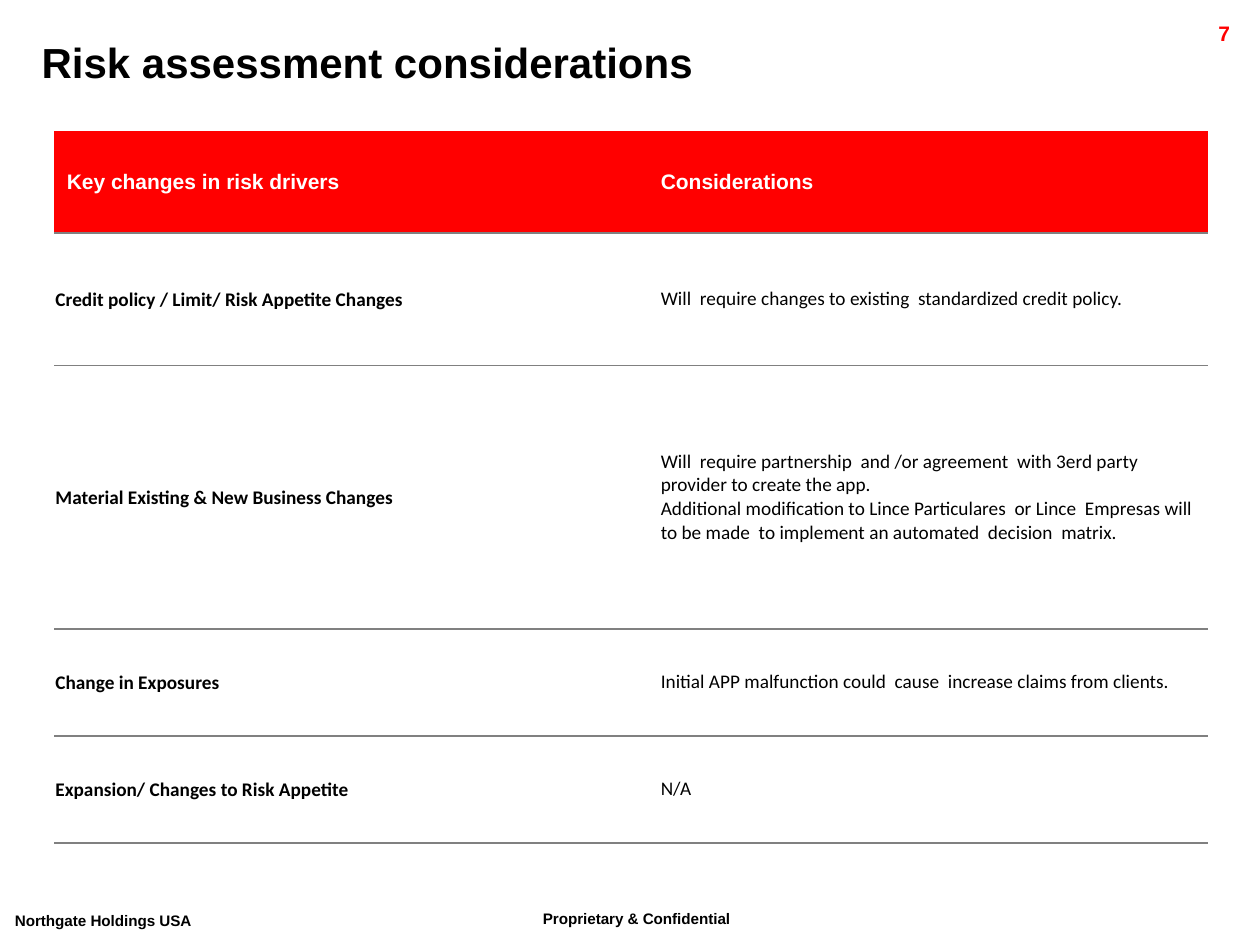
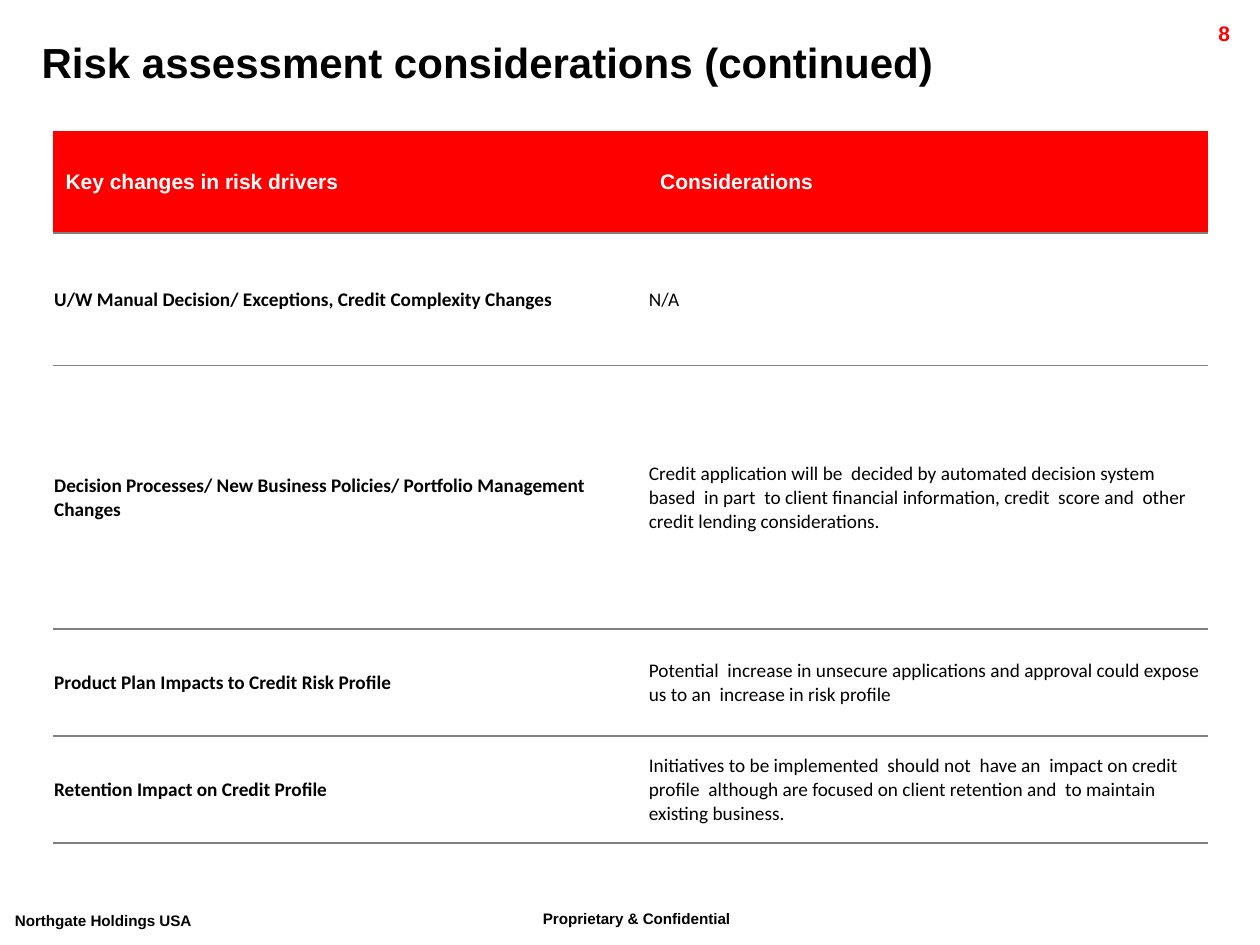
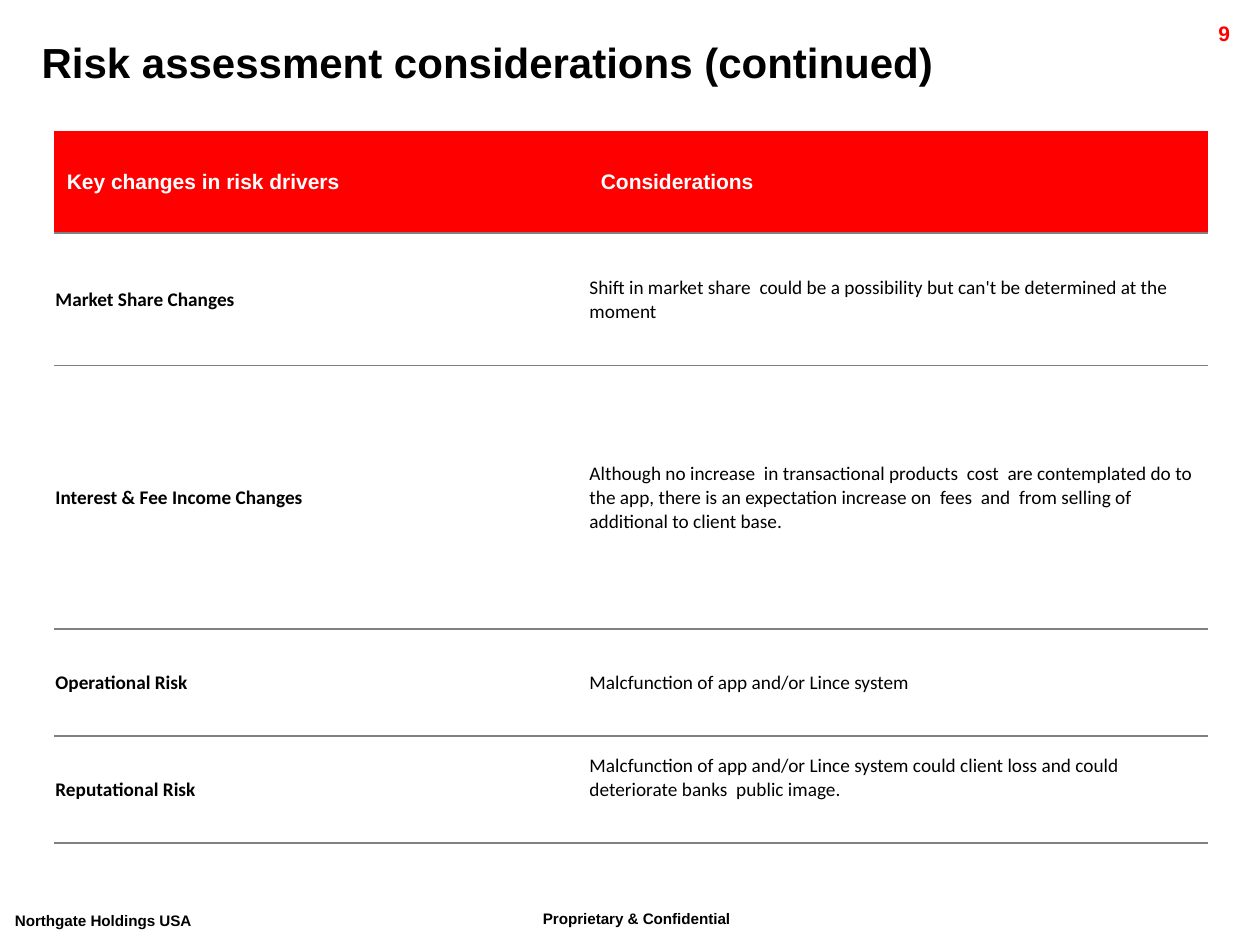
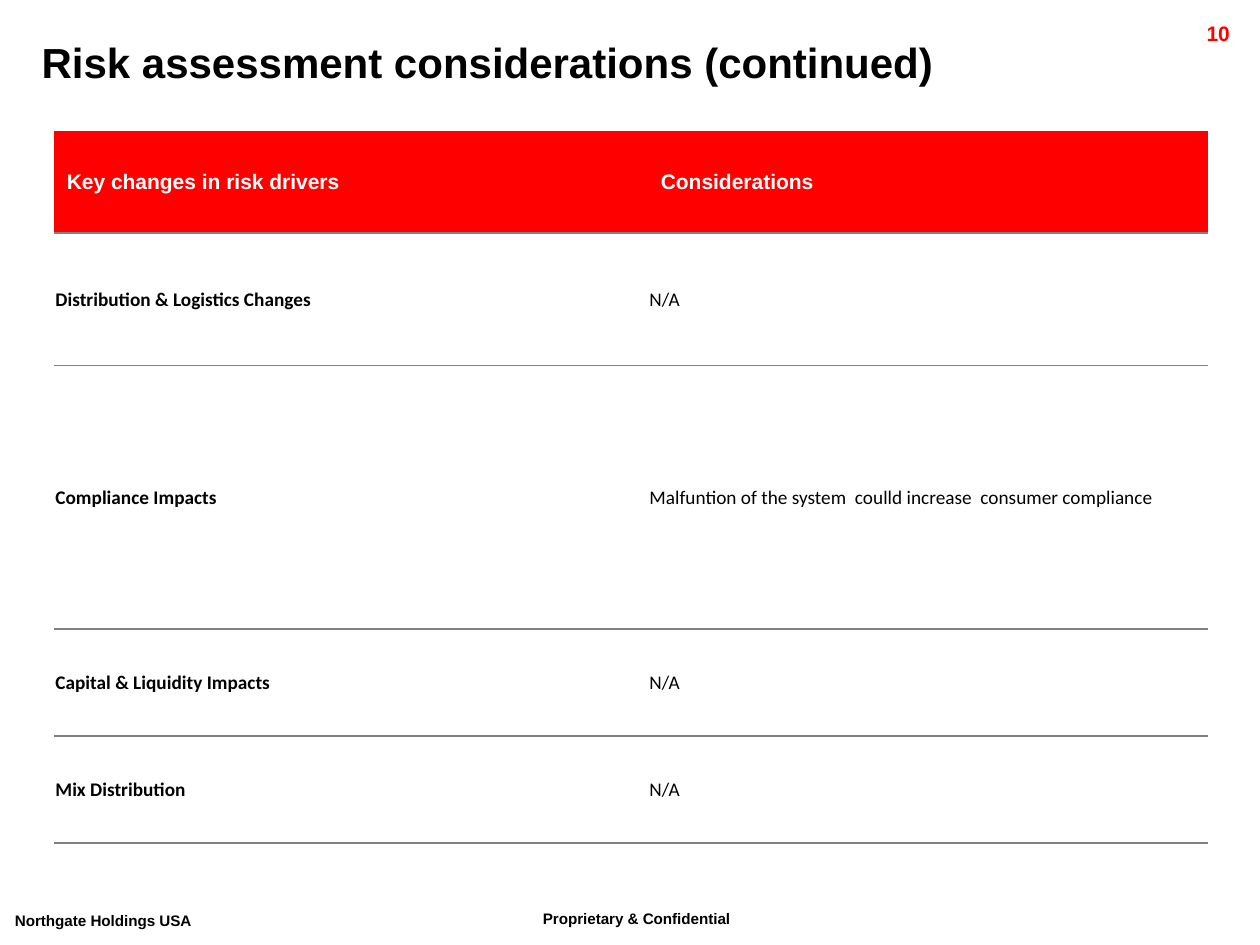
from lxml import etree
from pptx import Presentation
from pptx.dml.color import RGBColor
from pptx.enum.text import MSO_ANCHOR, MSO_AUTO_SIZE, PP_ALIGN
from pptx.oxml.ns import qn
from pptx.util import Inches, Pt

LEFT, RIGHT = PP_ALIGN.LEFT, PP_ALIGN.RIGHT
TOP, MIDDLE = MSO_ANCHOR.TOP, MSO_ANCHOR.MIDDLE
NO_FIT, FIT_SHAPE = MSO_AUTO_SIZE.NONE, MSO_AUTO_SIZE.SHAPE_TO_FIT_TEXT

COLORS = {"accent": "FF0000", "ink": "000000", "header_text": "FFFFFF", "rule": "808080"}
TITLE_ONLY = 5
NO_STYLE_NO_GRID = "{2D5ABB26-0587-4C30-8999-92F81FD0307C}"
FIRST_PAGE = 7

# Positions are percentages of the slide's width or height.
TITLE_BOX = (2.3, 3.2, 98.2, 6.67)
PAGE_NUMBER_BOX = (89.1, 1.47, 9.5, 3.2)
FOOTERS = [
    ("Proprietary & Confidential", (42.1, 95.2, 21.8, 4.67), True),
    ("Northgate Holdings USA", (0.2, 95.47, 19.1, 4.67), False),
]
TABLE_TOP, TABLE_RIGHT = 13.87, 95.85
ROW_HEIGHTS = [10.8, 14, 27.87, 11.33, 11.33]
HEADERS = ("Key changes in risk drivers", "Considerations")
TIGHT = (0.01, 0.01, 0.01, 0)
ROOMY = (0.1, 0.1, 0.1, 0.1)
RAISED = (0.01, 0.01, 0.01, 0.19)

TITLE = "Risk assessment considerations"
CONTINUED = TITLE + " (continued)"

# Each page: title, table left, column split, insets of the considerations, rows.
PAGES = [
    (TITLE, 4.3, 51.5, [ROOMY] * 4, [
        ("Credit policy / Limit/ Risk Appetite Changes",
         ["Will  require changes to existing  standardized credit policy."]),
        ("Material Existing & New Business Changes",
         ["Will  require partnership  and /or agreement  with 3erd party provider to create the app.",
          "Additional modification to Lince Particulares  or Lince  Empresas will to be made  "
          "to implement an automated  decision  matrix."]),
        ("Change in Exposures",
         ["Initial APP malfunction could  cause  increase claims from clients."]),
        ("Expansion/ Changes to Risk Appetite", ["N/A"]),
    ]),
    (CONTINUED, 4.2, 51.5, [TIGHT] * 4, [
        ("U/W Manual Decision/ Exceptions, Credit Complexity Changes", ["N/A"]),
        ("Decision Processes/ New Business Policies/ Portfolio Management Changes",
         ["Credit application will be  decided by automated decision system based  in part  "
          "to client financial information, credit  score and  other credit lending considerations."]),
        ("Product Plan Impacts to Credit Risk Profile",
         ["Potential  increase in unsecure applications and approval could expose us to an  "
          "increase in risk profile"]),
        ("Retention Impact on Credit Profile",
         ["Initiatives to be implemented  should not  have an  impact on credit profile  although "
          "are focused on client retention and  to maintain existing business."]),
    ]),
    (CONTINUED, 4.3, 46.3, [TIGHT] * 3 + [RAISED], [
        ("Market Share Changes",
         ["Shift in market share  could be a possibility but can't be determined at the moment"]),
        ("Interest & Fee Income Changes",
         ["Although no increase  in transactional products  cost  are contemplated do to the app, "
          "there is an expectation increase on  fees  and  from selling of additional to client base."]),
        ("Operational Risk", ["Malcfunction of app and/or Lince system"]),
        ("Reputational Risk",
         ["Malcfunction of app and/or Lince system could client loss and could deteriorate banks  "
          "public image."]),
    ]),
    (CONTINUED, 4.3, 51.5, [TIGHT] * 4, [
        ("Distribution & Logistics Changes", ["N/A"]),
        ("Compliance Impacts",
         ["Malfuntion of the system  coulld increase  consumer compliance"]),
        ("Capital & Liquidity Impacts", ["N/A"]),
        ("Mix Distribution", ["N/A"]),
    ]),
]

prs = Presentation()
prs.slide_width, prs.slide_height = Inches(10), Inches(7.5)


def place(box):
    """Turn a left, top, width, height in percent into slide lengths."""
    sides = (prs.slide_width, prs.slide_height) * 2
    return [round(side * share / 100) for side, share in zip(sides, box)]


def write(frame, lines, size, color="ink", bold=True, font="Arial", align=LEFT):
    """Write one paragraph per line and return the runs."""
    runs = []
    for index, line in enumerate(lines):
        paragraph = frame.add_paragraph() if index else frame.paragraphs[0]
        paragraph.alignment = align
        run = paragraph.add_run()
        run.text = line
        run.font.name, run.font.size, run.font.bold = font, Pt(size), bold
        run.font.color.rgb = RGBColor.from_string(COLORS[color])
        runs.append(run)
    return runs


for page, (heading, table_left, split, insets, drivers) in enumerate(PAGES, FIRST_PAGE):
    slide = prs.slides.add_slide(prs.slide_layouts[TITLE_ONLY])

    for footer, box, wraps in FOOTERS:
        frame = slide.shapes.add_textbox(*place(box)).text_frame
        frame.word_wrap, frame.auto_size = wraps, FIT_SHAPE
        for run in write(frame, [footer], 15):
            run.font._element.set("baseline", "30000")

    frame = slide.shapes.add_textbox(*place(PAGE_NUMBER_BOX)).text_frame
    frame.word_wrap, frame.auto_size = True, NO_FIT
    write(frame, [str(page)], 12, "accent", align=RIGHT)

    title = slide.shapes.title
    title.left, title.top, title.width, title.height = place(TITLE_BOX)
    title.text_frame.auto_size, title.text_frame.vertical_anchor = FIT_SHAPE, TOP
    write(title.text_frame, [heading], 24)

    box = place((table_left, TABLE_TOP, TABLE_RIGHT - table_left, sum(ROW_HEIGHTS)))
    table = slide.shapes.add_table(len(ROW_HEIGHTS), len(HEADERS), *box).table
    table.horz_banding = False
    table._tbl.tblPr.find(qn("a:tableStyleId")).text = NO_STYLE_NO_GRID
    for column, share in zip(table.columns, (split, 100 - split)):
        column.width = round(box[2] * share / 100)
    for row, share in zip(table.rows, ROW_HEIGHTS):
        row.height = round(prs.slide_height * share / 100)

    for cell in table.iter_cells():
        cell.vertical_anchor = MIDDLE
        rule = etree.SubElement(cell._tc.get_or_add_tcPr(), qn("a:lnB"), w=str(Pt(1)))
        rule_fill = etree.SubElement(rule, qn("a:solidFill"))
        etree.SubElement(rule_fill, qn("a:srgbClr"), val=COLORS["rule"])
        cell.fill.background()

    for column, header in enumerate(HEADERS):
        cell = table.cell(0, column)
        cell.fill.solid()
        cell.fill.fore_color.rgb = RGBColor.from_string(COLORS["accent"])
        write(cell.text_frame, [header], 12, "header_text")

    for row, ((driver, considerations), inset) in enumerate(zip(drivers, insets), 1):
        for column, (lines, margins) in enumerate([([driver], TIGHT), (considerations, inset)]):
            cell = table.cell(row, column)
            (cell.margin_left, cell.margin_top,
             cell.margin_right, cell.margin_bottom) = map(Inches, margins)
            write(cell.text_frame, lines, 11, bold=column == 0, font="Calibri")

prs.save("out.pptx")
